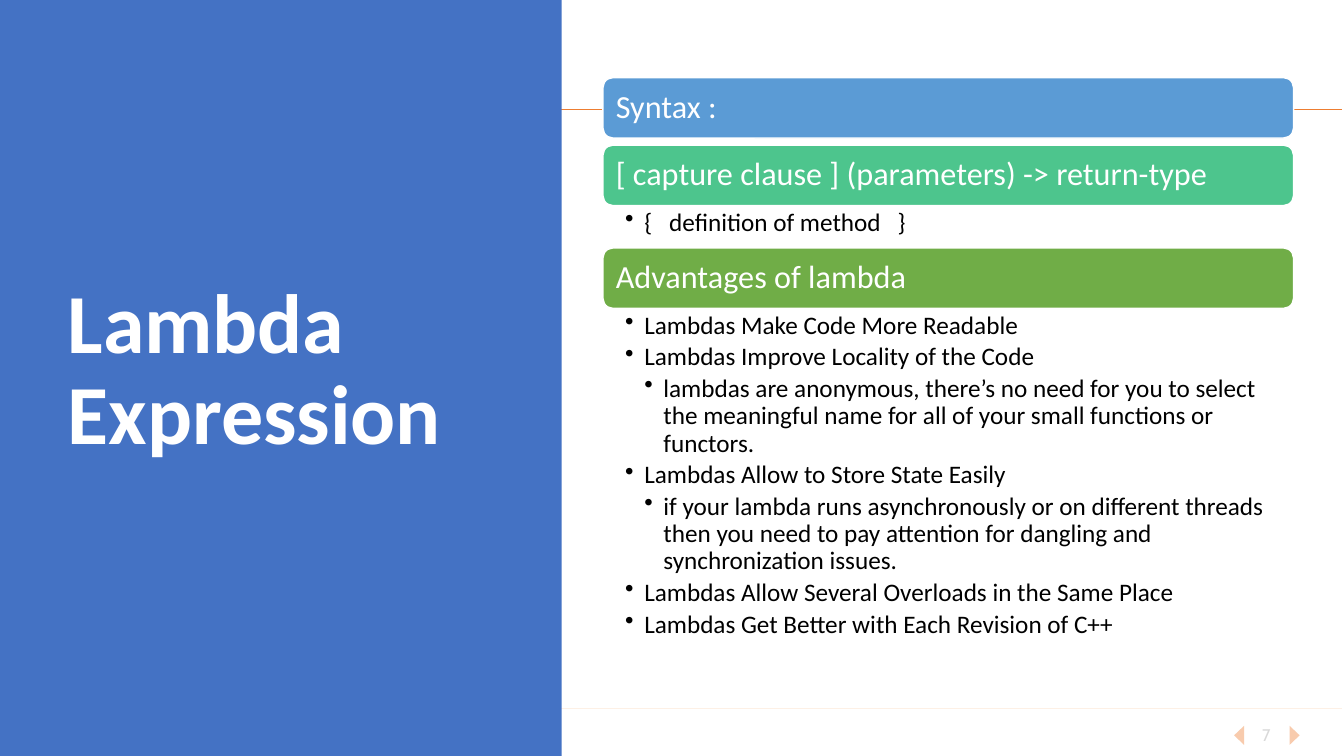
from lxml.etree import SubElement
from pptx import Presentation
from pptx.dml.color import RGBColor
from pptx.enum.shapes import MSO_CONNECTOR, MSO_SHAPE
from pptx.enum.text import MSO_ANCHOR, MSO_AUTO_SIZE, PP_ALIGN
from pptx.oxml.ns import qn
from pptx.util import Inches, Pt


def paint(color_format, hex_color):
    color_format.rgb = RGBColor.from_string(hex_color)


def format_text(paragraph, size, hex_color, font_name="Calibri", bold=False):
    for run in paragraph.runs:
        run.font.name = font_name
        run.font.size = Pt(size)
        run.font.bold = bold
        paint(run.font.color, hex_color)


presentation = Presentation()
presentation.slide_width = Inches(13.33)
presentation.slide_height = Inches(7.5)
slide = presentation.slides.add_slide(presentation.slide_layouts[5])
shapes = slide.shapes

for top, line_color, opacity in [(1.09, "ED7D31", 100), (7.03, "F0872A", 18)]:
    rule = shapes.add_connector(
        MSO_CONNECTOR.STRAIGHT, Inches(0), Inches(top), Inches(13.31), Inches(top)
    )
    rule.line.width = Pt(0.5)
    paint(rule.line.color, line_color)
    properties = rule.element.spPr
    SubElement(properties, qn("a:effectLst"))
    if opacity < 100:
        color_element = next(properties.iter(qn("a:srgbClr")))
        SubElement(color_element, qn("a:alpha"), val=str(opacity * 1000))

number_box = shapes.add_textbox(Inches(12.28), Inches(7.09), Inches(0.56), Inches(0.4))
number_frame = number_box.text_frame
number_frame.word_wrap = True
number_frame.vertical_anchor = MSO_ANCHOR.MIDDLE
number_frame.text = "7"
number_frame.paragraphs[0].alignment = PP_ALIGN.CENTER
format_text(number_frame.paragraphs[0], 12, "D9D9D9", "Cabin")

for base, tip in [(12.79, 12.89), (12.34, 12.24)]:
    builder = shapes.build_freeform(Inches(base), Inches(7.2))
    builder.add_line_segments(
        [(Inches(tip), Inches(7.295)), (Inches(base), Inches(7.39))], close=True
    )
    arrow = builder.convert_to_shape()
    arrow.shadow.inherit = False
    arrow.fill.solid()
    paint(arrow.fill.fore_color, "F8CBAD")
    arrow.line.fill.background()

panel = shapes.add_shape(
    MSO_SHAPE.RECTANGLE, Inches(0), Inches(0), Inches(5.57), Inches(7.5)
)
panel.shadow.inherit = False
panel.fill.solid()
paint(panel.fill.fore_color, "4472C4")
panel.line.fill.background()

title = shapes.title
title.element.getparent().append(title.element)
title.left, title.top = Inches(0.57), Inches(0.68)
title.width, title.height = Inches(4.16), Inches(6.02)
title_frame = title.text_frame
title_frame.text = "Lambda Expression"
title_frame.word_wrap = True
title_frame.auto_size = MSO_AUTO_SIZE.NONE
title_frame.vertical_anchor = MSO_ANCHOR.MIDDLE
title_frame.paragraphs[0].alignment = PP_ALIGN.LEFT
title_frame.paragraphs[0].line_spacing = 0.9
format_text(title_frame.paragraphs[0], 60, "FFFFFF", bold=True)

headings = [
    (0.77, "5B9BD5", "Syntax :"),
    (1.44, "4DC58D", "[ capture clause ] (parameters) -> return-type"),
    (2.46, "70AD47", "Advantages of lambda"),
]
for top, fill_color, text in headings:
    heading = shapes.add_shape(
        MSO_SHAPE.ROUNDED_RECTANGLE, Inches(5.98), Inches(top), Inches(6.85), Inches(0.6)
    )
    heading.shadow.inherit = False
    heading.fill.solid()
    paint(heading.fill.fore_color, fill_color)
    heading.line.width = Pt(1)
    paint(heading.line.color, "FFFFFF")
    frame = heading.text_frame
    frame.word_wrap = True
    frame.vertical_anchor = MSO_ANCHOR.MIDDLE
    frame.text = text
    paragraph = frame.paragraphs[0]
    paragraph.alignment = PP_ALIGN.LEFT
    paragraph.line_spacing = 0.9
    format_text(paragraph, 23, "FFFFFF")

bullet_lists = [
    (2.05, 0.42, [(1, "{   definition of method   }")]),
    (3.07, 3.54, [
        (1, "Lambdas Make Code More Readable"),
        (1, "Lambdas Improve Locality of the Code"),
        (2, "lambdas are anonymous, there’s no need for you to select the meaningful "
            "name for all of your small functions or functors."),
        (1, "Lambdas Allow to Store State Easily"),
        (2, "if your lambda runs asynchronously or on different threads then you need "
            "to pay attention for dangling and synchronization issues."),
        (1, "Lambdas Allow Several Overloads in the Same Place"),
        (1, "Lambdas Get Better with Each Revision of C++"),
    ]),
]
for top, height, items in bullet_lists:
    box = shapes.add_textbox(Inches(5.98), Inches(top), Inches(6.85), Inches(height))
    frame = box.text_frame
    frame.word_wrap = True
    frame.margin_left, frame.margin_right = Inches(0.22), Inches(0.18)
    frame.margin_top = frame.margin_bottom = Inches(0.03)
    frame.text = "\n".join(text for level, text in items)
    for paragraph, (level, text) in zip(frame.paragraphs, items):
        paragraph.level = level
        paragraph.line_spacing = 0.9
        paragraph.space_after = Pt(3.2)
        format_text(paragraph, 18, "000000")
        paragraph_properties = paragraph._p.get_or_add_pPr()
        paragraph_properties.set("marL", str(Inches(0.19 * level)))
        paragraph_properties.set("indent", str(Inches(-0.19)))
        SubElement(paragraph_properties, qn("a:buChar"), char="•")

presentation.save("out.pptx")
